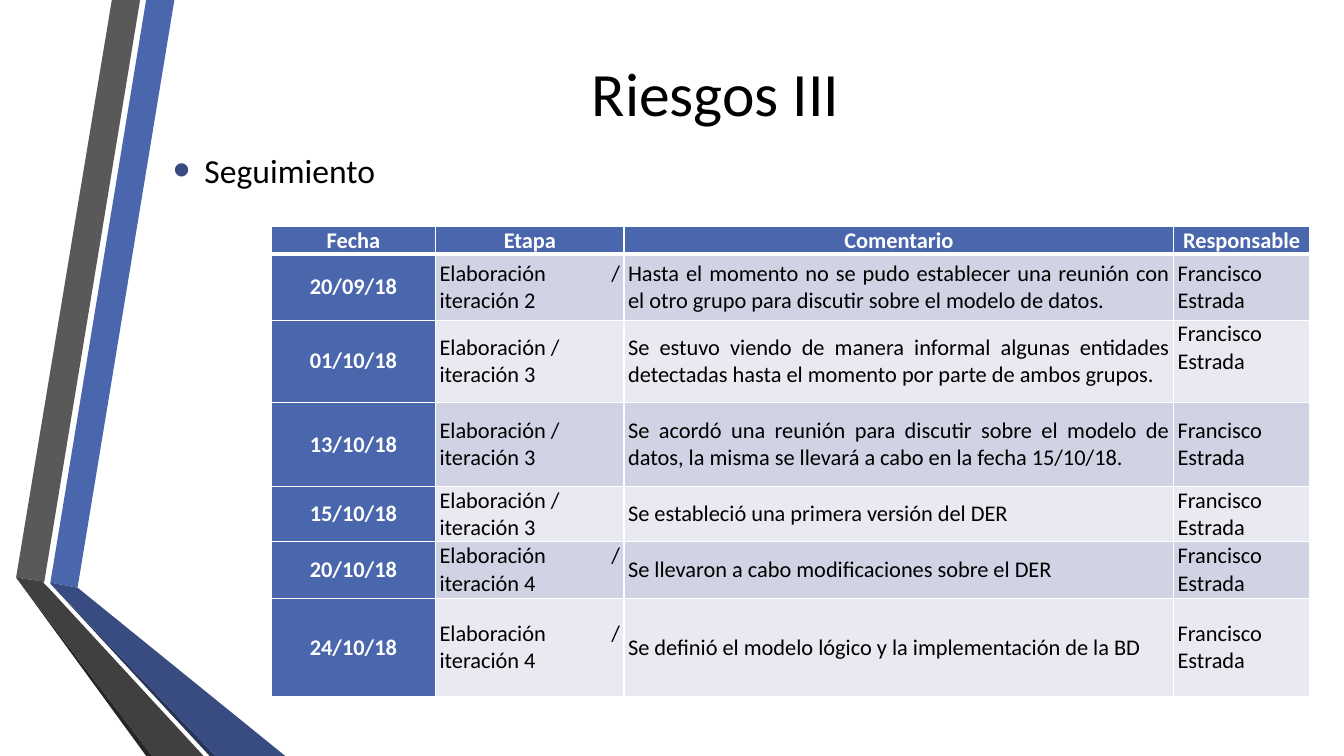
import pptx
import pptx.dml.color
import pptx.enum.text
import pptx.oxml
import pptx.oxml.ns
import pptx.util
from pptx.util import Inches

COLORS = {
    "blue": "4A66AC", "navy": "384C81", "deep_navy": "253356",
    "gray": "595959", "charcoal": "404040", "black_gray": "262626",
    "band_dark": "D0D3E3", "band_light": "E9EAF1",
    "white": "FFFFFF", "black": "000000",
}
ALIGN = pptx.enum.text.PP_ALIGN
ANCHOR = pptx.enum.text.MSO_ANCHOR

RIBBONS = [
    ("blue", [(0.5, 5.78), (0.77, 5.83), (1.73, 0), (1.45, 0)]),
    ("gray", [(1.39, 0), (1.11, 0), (0.16, 5.73), (0.44, 5.77)]),
    ("black_gray", [(0.16, 5.73), (1.45, 7.5), (1.51, 7.5)]),
    ("deep_navy", [(0.5, 5.79), (2.08, 7.5), (2.14, 7.5)]),
    ("navy", [(0.5, 5.79), (2.14, 7.5), (2.83, 7.5), (0.77, 5.83), (0.5, 5.78)]),
    ("charcoal", [(2.02, 7.5), (0.48, 5.83), (0.43, 5.78), (0.44, 5.77),
                  (0.16, 5.73), (1.51, 7.5)]),
]
COLUMN_WIDTHS = [1.63, 1.87, 5.45, 1.35]
ROW_HEIGHTS = [0.27, 0.66, 0.81, 0.84, 0.54, 0.57, 0.97]
OWNER = "Francisco Estrada"
FOLLOW_UP = [
    ("Fecha", "Etapa", "Comentario", "Responsable"),
    ("20/09/18", "Elaboración / iteración 2",
     "Hasta el momento no se pudo establecer una reunión con el otro grupo "
     "para discutir sobre el modelo de datos.", OWNER),
    ("01/10/18", "Elaboración /\niteración 3",
     "Se estuvo viendo de manera informal algunas entidades detectadas hasta "
     "el momento por parte de ambos grupos.", OWNER),
    ("13/10/18", "Elaboración /\niteración 3",
     "Se acordó una reunión para discutir sobre el modelo de datos, la misma "
     "se llevará a cabo en la fecha 15/10/18.", OWNER),
    ("15/10/18", "Elaboración /\niteración 3",
     "Se estableció una primera versión del DER", OWNER),
    ("20/10/18", "Elaboración / iteración 4",
     "Se llevaron a cabo modificaciones sobre el DER", OWNER),
    ("24/10/18", "Elaboración / iteración 4",
     "Se definió el modelo lógico y la implementación de la BD", OWNER),
]
TOP_ANCHORED = (2, 3)


class SlideBuilder:
    font_name = "Calibri"

    def __init__(self, slide):
        self.slide = slide

    def color(self, name):
        return pptx.dml.color.RGBColor.from_string(COLORS[name])

    def fill(self, target, name):
        target.fill.solid()
        target.fill.fore_color.rgb = self.color(name)

    def style(self, paragraph, size, color="black", bold=False, align=ALIGN.LEFT):
        paragraph.alignment = align
        paragraph.font.name = self.font_name
        paragraph.font.size = pptx.util.Pt(size)
        paragraph.font.bold = bold
        paragraph.font.color.rgb = self.color(color)

    def ribbon(self, color, points):
        corners = [(Inches(x), Inches(y)) for x, y in points]
        builder = self.slide.shapes.build_freeform(*corners[0])
        builder.add_line_segments(corners[1:], close=True)
        shape = builder.convert_to_shape()
        shape.shadow.inherit = False
        self.fill(shape, color)
        shape.line.fill.background()

    def text(self, box, content, size, align=ALIGN.LEFT):
        shape = self.slide.shapes.add_textbox(*map(Inches, box))
        frame = shape.text_frame
        frame.word_wrap = True
        frame.vertical_anchor = ANCHOR.MIDDLE
        paragraph = frame.paragraphs[0]
        paragraph.text = content
        self.style(paragraph, size, align=align)
        return paragraph

    def bullet(self, box, content, size):
        paragraph = self.text(box, content, size)
        paragraph.space_before = pptx.util.Pt(size * 0.2)
        paragraph.space_after = pptx.util.Pt(6)
        properties = paragraph._p.get_or_add_pPr()
        properties.set("marL", str(Inches(0.31)))
        properties.set("indent", str(-Inches(0.31)))
        namespace = pptx.oxml.ns.nsdecls("a")
        bullet_parts = [
            f'<a:buClr {namespace}><a:srgbClr val="{COLORS["navy"]}"/></a:buClr>',
            f'<a:buSzPct {namespace} val="145000"/>',
            f'<a:buFont {namespace} typeface="Arial"/>',
            f'<a:buChar {namespace} char="•"/>',
        ]
        position = properties.index(properties.find(pptx.oxml.ns.qn("a:defRPr")))
        for offset, part in enumerate(bullet_parts):
            properties.insert(position + offset, pptx.oxml.parse_xml(part))

    def borders(self, cell, bottom_width):
        properties = cell._tc.get_or_add_tcPr()
        widths = {"lnL": 1, "lnR": 1, "lnT": 1, "lnB": bottom_width}
        for position, (side, width) in enumerate(widths.items()):
            properties.insert(position, pptx.oxml.parse_xml(
                f'<a:{side} {pptx.oxml.ns.nsdecls("a")} w="{pptx.util.Pt(width)}">'
                f'<a:solidFill><a:srgbClr val="{COLORS["white"]}"/></a:solidFill>'
                f'</a:{side}>'))

    def cell(self, cell, content, row, column):
        is_heading = row == 0 or column == 0
        cell.text = content
        cell.margin_left = cell.margin_right = Inches(0.04)
        cell.margin_top = cell.margin_bottom = 0
        cell.vertical_anchor = ANCHOR.TOP if (row, column) == TOP_ANCHORED else ANCHOR.MIDDLE
        for paragraph in cell.text_frame.paragraphs:
            if is_heading:
                self.style(paragraph, 16, "white", True, ALIGN.CENTER)
            else:
                self.style(paragraph, 16, align=ALIGN.JUSTIFY)
        band = "band_dark" if row % 2 else "band_light"
        self.fill(cell, "blue" if is_heading else band)
        self.borders(cell, 3 if row == 0 else 1)

    def table(self, left, top, widths, heights, rows):
        table = self.slide.shapes.add_table(
            len(heights), len(widths), Inches(left), Inches(top),
            Inches(sum(widths)), Inches(sum(heights))).table
        for column, width in zip(table.columns, widths):
            column.width = Inches(width)
        for row, height in zip(table.rows, heights):
            row.height = Inches(height)
        for row, contents in enumerate(rows):
            for column, content in enumerate(contents):
                self.cell(table.cell(row, column), content, row, column)


def main():
    presentation = pptx.Presentation()
    presentation.slide_width = Inches(13.33)
    presentation.slide_height = Inches(7.5)
    builder = SlideBuilder(presentation.slides.add_slide(presentation.slide_layouts[6]))
    for color, points in RIBBONS:
        builder.ribbon(color, points)
    builder.text((1.62, -0.05, 10.96, 1.92), "Riesgos III", 44, ALIGN.CENTER)
    builder.table(2.69, 2.25, COLUMN_WIDTHS, ROW_HEIGHTS, FOLLOW_UP)
    builder.bullet((1.62, 0.98, 10.96, 1.41), "Seguimiento", 24)
    presentation.save("out.pptx")


if __name__ == "__main__":
    main()
